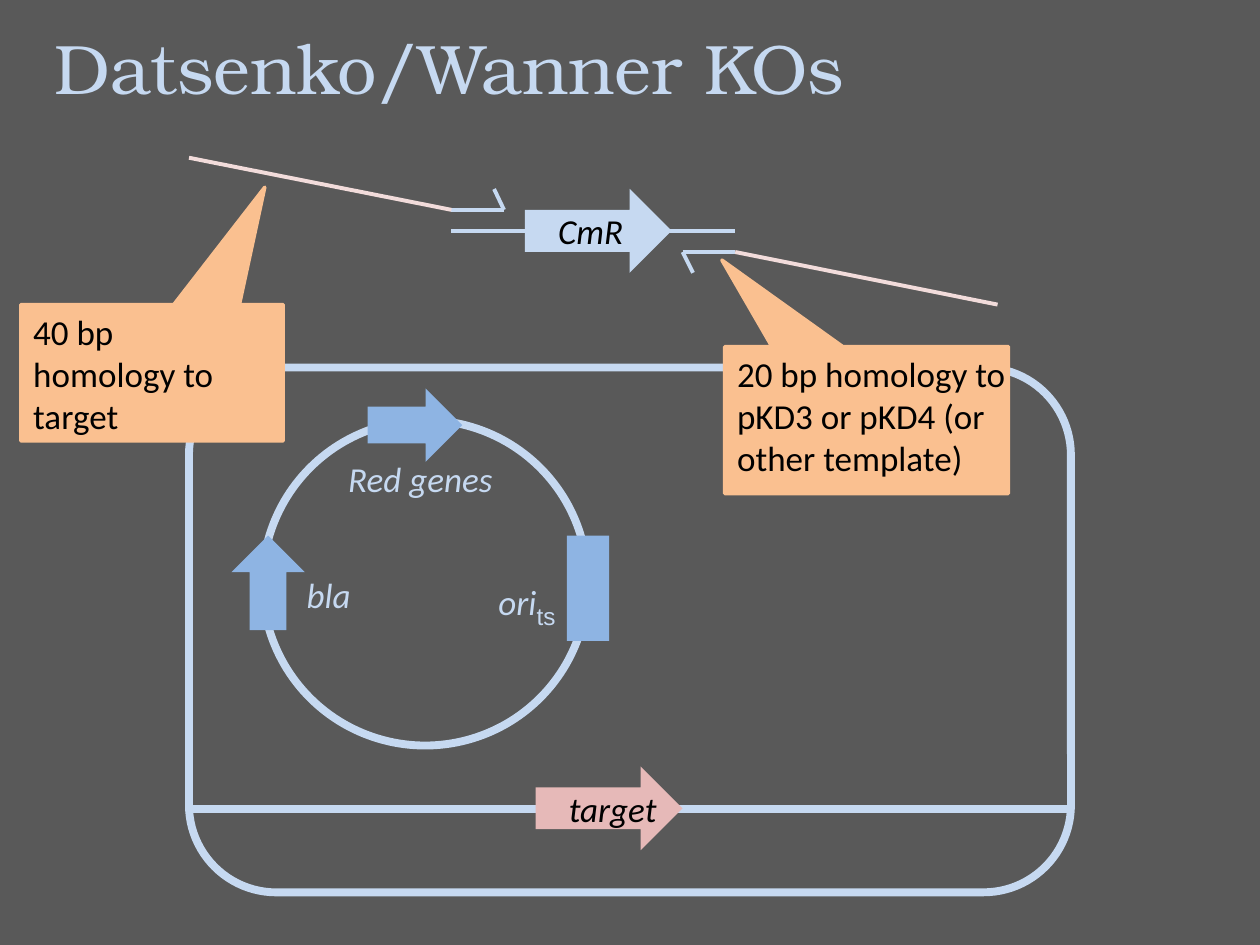
from typing import NamedTuple, Optional

from lxml import etree
from pptx import Presentation
from pptx import util as u
from pptx.dml.color import RGBColor
from pptx.enum import shapes, text
from pptx.oxml.ns import qn

GREY = RGBColor(0x59, 0x59, 0x59)
PALE_BLUE = RGBColor(0xC6, 0xD9, 0xF1)
BLUE = RGBColor(0x8E, 0xB4, 0xE3)
PINK = RGBColor(0xE6, 0xB9, 0xB8)
PALE_PINK = RGBColor(0xF2, 0xDC, 0xDB)
ORANGE = RGBColor(0xFA, 0xC0, 0x90)
BLACK = RGBColor(0, 0, 0)

ARROW = shapes.MSO_SHAPE.RIGHT_ARROW
LABEL_HEIGHT = 1.12
GENE_SIZE = (2.96, 1.69)
PLASMID_ARROW_SIZE = (1.91, 1.48)
PRIMER_WEIGHT = 2.25
OUTLINE_WEIGHT = 4.5


class Box(NamedTuple):
    """Left, top, width and height in centimetres."""
    left: float
    top: float
    width: float
    height: float

    def lengths(self) -> list:
        return [u.Cm(value) for value in self]


class Figure(NamedTuple):
    kind: shapes.MSO_SHAPE
    box: Box
    fill: Optional[RGBColor] = None
    line: Optional[RGBColor] = None
    weight: float = 0
    rotation: float = 0
    adjustments: tuple = ()


class Stroke(NamedTuple):
    start: tuple
    end: tuple
    colour: RGBColor = PALE_BLUE
    weight: float = PRIMER_WEIGHT


class Label(NamedTuple):
    words: str
    box: Box
    colour: RGBColor = PALE_BLUE
    subscript: str = ""


class Callout(NamedTuple):
    words: str
    box: Box
    tip: tuple
    text_width: float


def draw_figure(parent, figure: Figure) -> None:
    shape = parent.add_shape(figure.kind, *figure.box.lengths())
    shape.shadow.inherit = False
    shape.rotation = figure.rotation
    for index, value in enumerate(figure.adjustments):
        shape.adjustments[index] = value
    if figure.fill is None:
        shape.fill.background()
    else:
        shape.fill.solid()
        shape.fill.fore_color.rgb = figure.fill
    if figure.line is None:
        shape.line.fill.background()
    else:
        shape.line.color.rgb = figure.line
        shape.line.width = u.Pt(figure.weight)


def draw_stroke(parent, stroke: Stroke) -> None:
    ends = [u.Cm(value) for value in stroke.start + stroke.end]
    line = parent.add_connector(shapes.MSO_CONNECTOR.STRAIGHT, *ends)
    line.line.color.rgb = stroke.colour
    line.line.width = u.Pt(stroke.weight)
    etree.SubElement(line._element.spPr, qn("a:effectLst"))


def write(para, words: str, *, colour: RGBColor, size: float = 20,
          font: str = "Calibri", italic: bool = False, baseline: int = 0) -> None:
    span = para.add_run()
    span.text = words
    span.font.name = font
    span.font.size = u.Pt(size)
    span.font.italic = italic
    span.font.color.rgb = colour
    if baseline:
        span.font._element.set("baseline", str(baseline))


def add_text_box(parent, box: Box, wrap: bool):
    frame = parent.add_textbox(*box.lengths()).text_frame
    frame.word_wrap = wrap
    frame.auto_size = text.MSO_AUTO_SIZE.SHAPE_TO_FIT_TEXT
    return frame


def draw_label(parent, label: Label) -> None:
    para = add_text_box(parent, label.box, wrap=False).paragraphs[0]
    write(para, label.words, colour=label.colour, italic=True)
    if label.subscript:
        write(para, label.subscript, colour=label.colour, size=24,
              font="Arial", baseline=-25000)


def draw_callout(parent, callout: Callout) -> None:
    draw_figure(parent, Figure(shapes.MSO_SHAPE.RECTANGULAR_CALLOUT, callout.box,
                               ORANGE, ORANGE, 2, adjustments=callout.tip))
    box = callout.box._replace(width=callout.text_width, height=2.82)
    frame = add_text_box(parent, box, wrap=True)
    for index, words in enumerate(callout.words.split("\n")):
        para = frame.add_paragraph() if index else frame.paragraphs[0]
        write(para, words, colour=BLACK)


def draw_all(parent, items: list) -> None:
    """Draw the items from back to front."""
    painters = {Figure: draw_figure, Stroke: draw_stroke,
                Label: draw_label, Callout: draw_callout}
    for item in items:
        painters[type(item)](parent, item)


def set_title(page, words: str) -> None:
    title = page.shapes.title
    title.left, title.top, title.width, title.height = Box(0.84, 0.36, 23.93, 1.96).lengths()
    frame = title.text_frame
    frame.word_wrap = True
    frame.auto_size = text.MSO_AUTO_SIZE.SHAPE_TO_FIT_TEXT
    frame.vertical_anchor = text.MSO_ANCHOR.TOP
    para = frame.paragraphs[0]
    para.alignment = text.PP_ALIGN.LEFT
    write(para, words, colour=PALE_BLUE, size=40, font="TeX Gyre Bonum")


CELL = [
    Figure(shapes.MSO_SHAPE.ROUNDED_RECTANGLE, Box(3.81, 7.41, 17.78, 10.58),
           line=PALE_BLUE, weight=OUTLINE_WEIGHT),
    Stroke((3.81, 16.3), (21.59, 16.3), weight=OUTLINE_WEIGHT),
    Figure(ARROW, Box(10.8, 15.45, *GENE_SIZE), PINK),
    Label("target", Box(11.22, 15.75, 2.29, LABEL_HEIGHT), BLACK),
]
PLASMID = [
    Figure(shapes.MSO_SHAPE.OVAL, Box(5.29, 8.47, 6.56, 6.56),
           line=PALE_BLUE, weight=OUTLINE_WEIGHT),
    Figure(ARROW, Box(7.41, 7.83, *PLASMID_ARROW_SIZE), BLUE),
    Label("Red genes", Box(6.77, 9.1, 3.43, LABEL_HEIGHT)),
    Figure(ARROW, Box(4.45, 11.01, *PLASMID_ARROW_SIZE), BLUE, rotation=270),
    Label("bla", Box(5.93, 11.43, 1.4, LABEL_HEIGHT)),
    Figure(shapes.MSO_SHAPE.RECTANGLE, Box(11.43, 10.8, 0.85, 2.12), BLUE),
    Label("ori", Box(9.8, 11.43, 1.73, LABEL_HEIGHT), subscript="ts"),
]
CASSETTE = [
    Stroke((9.1, 4.66), (14.82, 4.66)),
    Figure(ARROW, Box(10.58, 3.81, *GENE_SIZE), PALE_BLUE),
    Label("CmR", Box(11, 4.09, 1.83, LABEL_HEIGHT), BLACK),
]
FORWARD_PRIMER = [
    Stroke((10.16, 4.23), (9.1, 4.23)),
    Stroke((10.16, 4.23), (9.96, 3.81)),
]
REVERSE_PRIMER = [
    Stroke((13.76, 5.08), (14.82, 5.08)),
    Stroke((13.76, 5.08), (13.97, 5.5)),
]
HOMOLOGY = [
    Stroke((14.82, 5.08), (20.11, 6.14), PALE_PINK),
    Stroke((9.1, 4.23), (3.81, 3.18), PALE_PINK),
    Callout("20 bp homology to pKD3 or pKD4 (or other template)",
            Box(14.61, 6.99, 5.72, 2.96), (-0.51, -1.09), 5.93),
    Callout("40 bp\nhomology to target",
            Box(0.42, 6.14, 5.29, 2.75), (0.43, -1.36), 5.08),
]


def main() -> None:
    deck = Presentation()
    deck.slide_width, deck.slide_height = u.Cm(25.4), u.Cm(19.05)
    page = deck.slides.add_slide(deck.slide_layouts.get_by_name("Title Only"))
    page.background.fill.solid()
    page.background.fill.fore_color.rgb = GREY
    set_title(page, "Datsenko/Wanner KOs")
    draw_all(page.shapes, CELL)
    for part in (PLASMID, CASSETTE, FORWARD_PRIMER, REVERSE_PRIMER):
        draw_all(page.shapes.add_group_shape().shapes, part)
    draw_all(page.shapes, HOMOLOGY)
    deck.save("out.pptx")


if __name__ == "__main__":
    main()
